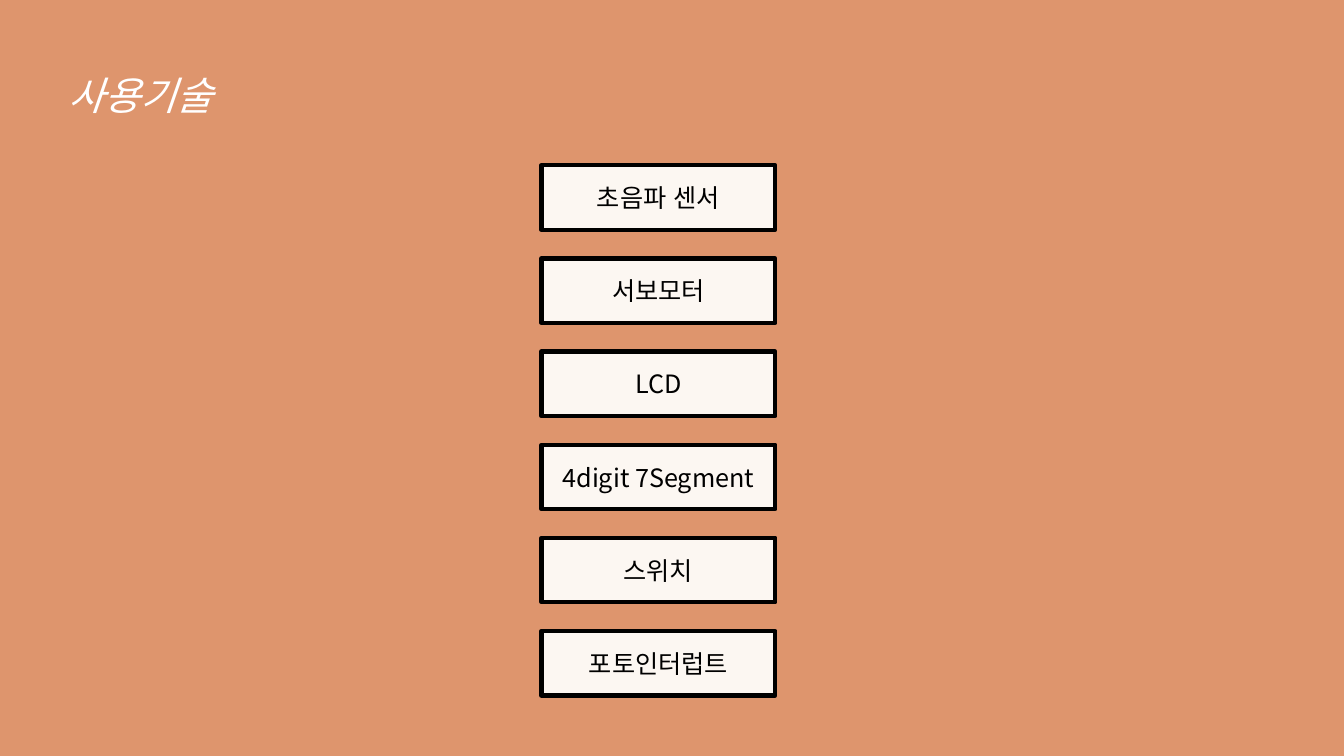
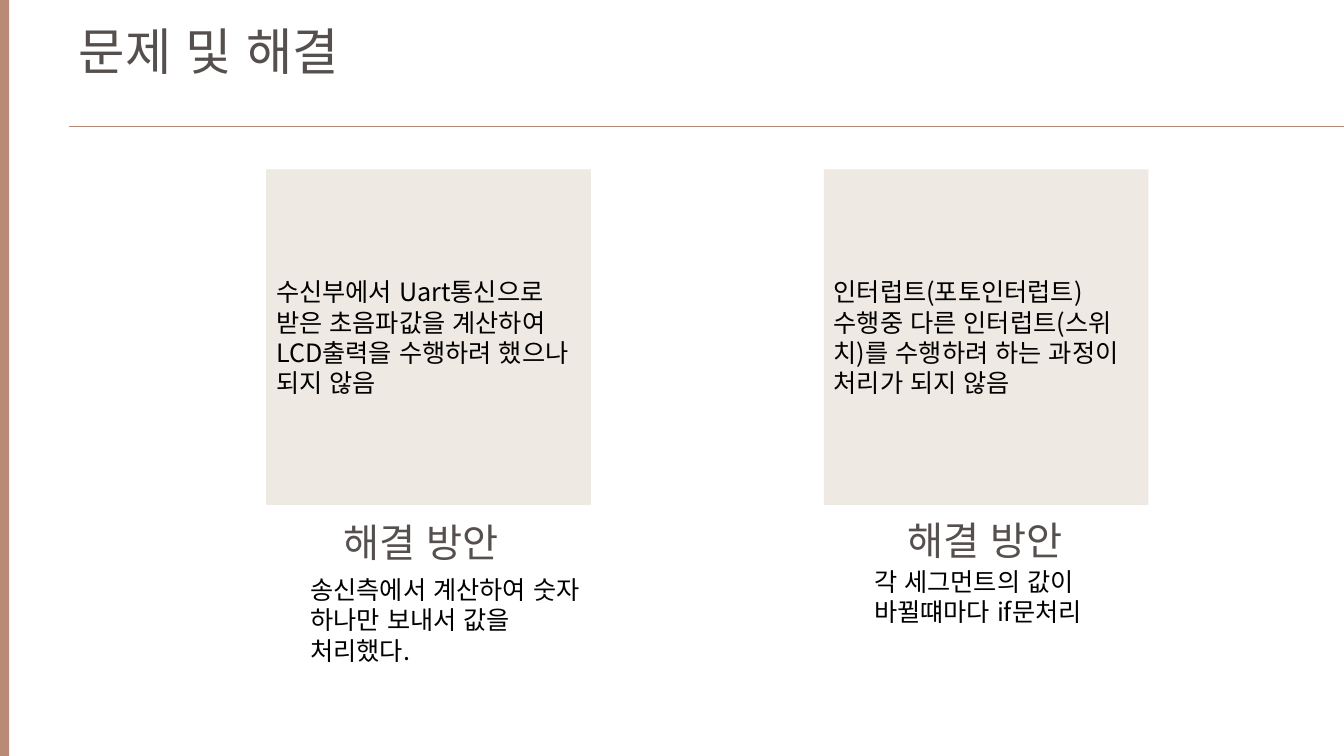
from dataclasses import dataclass

from pptx import Presentation
from pptx.dml.color import RGBColor
from pptx.enum.lang import MSO_LANGUAGE_ID as Language
from pptx.enum.shapes import MSO_CONNECTOR as Connector, MSO_SHAPE as Preset
from pptx.enum.text import MSO_ANCHOR as Anchor, MSO_AUTO_SIZE as AutoSize, PP_ALIGN as Align
from pptx.oxml.ns import qn
from pptx.shapes.autoshape import Shape
from pptx.slide import Slide
from pptx.util import Inches, Pt

FONT = "Noto Sans CJK KR"
COLORS = {
    "orange": "DE956D",
    "cream": "FCF7F2",
    "brown": "B98A76",
    "beige": "EEE9E2",
    "gray": "554F4D",
    "black": "000000",
    "white": "FFFFFF",
}
SLIDE_WIDTH, SLIDE_HEIGHT = 13.33, 7.5


@dataclass(frozen=True)
class Box:
    left: float
    top: float
    width: float
    height: float


@dataclass(frozen=True)
class TextStyle:
    size: int
    color: str = "black"
    italic: bool = False
    align: Align = Align.LEFT
    anchor: Anchor = Anchor.TOP
    wrap: bool = True


@dataclass(frozen=True)
class Problem:
    text: str
    card_left: float
    heading: Box
    solution: str
    solution_box: Box


COVER_TITLE = TextStyle(28, "white", italic=True, align=Align.CENTER, wrap=False)
PAGE_TITLE = TextStyle(36, "gray")
HEADING = TextStyle(28, "gray")
BODY = TextStyle(18)
CARD_TEXT = TextStyle(18, anchor=Anchor.MIDDLE)
TECHNOLOGY_TEXT = TextStyle(18, align=Align.CENTER, anchor=Anchor.MIDDLE)

TECHNOLOGIES = ["초음파 센서", "서보모터", "LCD", "4digit 7Segment", "스위치", "포토인터럽트"]
FIRST_TOP, LAST_TOP = 1.64, 6.26

PROBLEMS = [
    Problem(
        "수신부에서 Uart통신으로 받은 초음파값을 계산하여 LCD출력을 수행하려 했으나 되지 않음",
        2.64,
        Box(3.31, 5.09, 2.81, 0.57),
        "송신측에서 계산하여 숫자 하나만 보내서 값을 처리했다.",
        Box(2.98, 5.65, 2.92, 1.01),
    ),
    Problem(
        "인터럽트(포토인터럽트) 수행중 다른 인터럽트(스위치)를 수행하려 하는 과정이 처리가 되지 않음",
        8.17,
        Box(8.9, 5.07, 2.81, 0.57),
        "각 세그먼트의 값이 바뀔떄마다 if문처리",
        Box(8.57, 5.57, 2.92, 0.71),
    ),
]


def rgb(name: str) -> RGBColor:
    return RGBColor.from_string(COLORS[name])


def lengths(box: Box) -> tuple:
    return tuple(Inches(value) for value in (box.left, box.top, box.width, box.height))


def write(shape: Shape, text: str, style: TextStyle) -> None:
    frame = shape.text_frame
    frame.auto_size = AutoSize.NONE
    frame.word_wrap = style.wrap
    frame.vertical_anchor = style.anchor
    paragraph = frame.paragraphs[0]
    paragraph.alignment = style.align
    run = paragraph.add_run()
    run.text = text
    font = run.font
    font.size = Pt(style.size)
    font.italic = style.italic
    font.color.rgb = rgb(style.color)
    font.language_id = Language.KOREAN
    font.name = FONT
    east_asian = font._element.makeelement(qn("a:ea"), {"typeface": FONT})
    font._element.find(qn("a:latin")).addnext(east_asian)


def add_title(slide: Slide, text: str, box: Box, style: TextStyle) -> None:
    title = slide.shapes.title
    title.left, title.top, title.width, title.height = lengths(box)
    write(title, text, style)


def add_text(slide: Slide, text: str, box: Box, style: TextStyle) -> None:
    write(slide.shapes.add_textbox(*lengths(box)), text, style)


def add_rectangle(slide: Slide, box: Box, fill: str, border: str | None = None) -> Shape:
    shape = slide.shapes.add_shape(Preset.RECTANGLE, *lengths(box))
    shape.shadow.inherit = False
    shape.fill.solid()
    shape.fill.fore_color.rgb = rgb(fill)
    if border:
        shape.line.color.rgb = rgb(border)
        shape.line.width = Pt(3)
    else:
        shape.line.fill.background()
    return shape


def add_rule(slide: Slide, left: float, top: float, right: float) -> None:
    rule = slide.shapes.add_connector(
        Connector.STRAIGHT, Inches(left), Inches(top), Inches(right), Inches(top)
    )
    rule.line.color.rgb = rgb("brown")
    rule.line.width = Pt(0.5)
    properties = rule._element.spPr
    properties.append(properties.makeelement(qn("a:effectLst"), {}))


def build_technologies(slide: Slide) -> None:
    slide.background.fill.solid()
    slide.background.fill.fore_color.rgb = rgb("orange")
    add_title(slide, "사용기술", Box(0.51, 0.66, 1.77, 0.57), COVER_TITLE)
    pitch = (LAST_TOP - FIRST_TOP) / (len(TECHNOLOGIES) - 1)
    for index, name in enumerate(TECHNOLOGIES):
        box = Box(5.37, FIRST_TOP + index * pitch, 2.32, 0.64)
        write(add_rectangle(slide, box, "cream", "black"), name, TECHNOLOGY_TEXT)


def build_problems(slide: Slide) -> None:
    add_rule(slide, 0.68, 1.25, SLIDE_WIDTH)
    add_title(slide, "문제 및 해결", Box(0.68, 0.15, 4.2, 0.71), PAGE_TITLE)
    add_rectangle(slide, Box(0, 0, 0.09, SLIDE_HEIGHT), "brown")
    for problem in PROBLEMS:
        card = add_rectangle(slide, Box(problem.card_left, 1.68, 3.22, 3.33), "beige")
        write(card, problem.text, CARD_TEXT)
        add_text(slide, "해결 방안", problem.heading, HEADING)
        add_text(slide, problem.solution, problem.solution_box, BODY)


def main() -> None:
    presentation = Presentation()
    presentation.slide_width = Inches(SLIDE_WIDTH)
    presentation.slide_height = Inches(SLIDE_HEIGHT)
    title_only = presentation.slide_layouts[5]
    for build in (build_technologies, build_problems):
        build(presentation.slides.add_slide(title_only))
    presentation.save("out.pptx")


if __name__ == "__main__":
    main()
